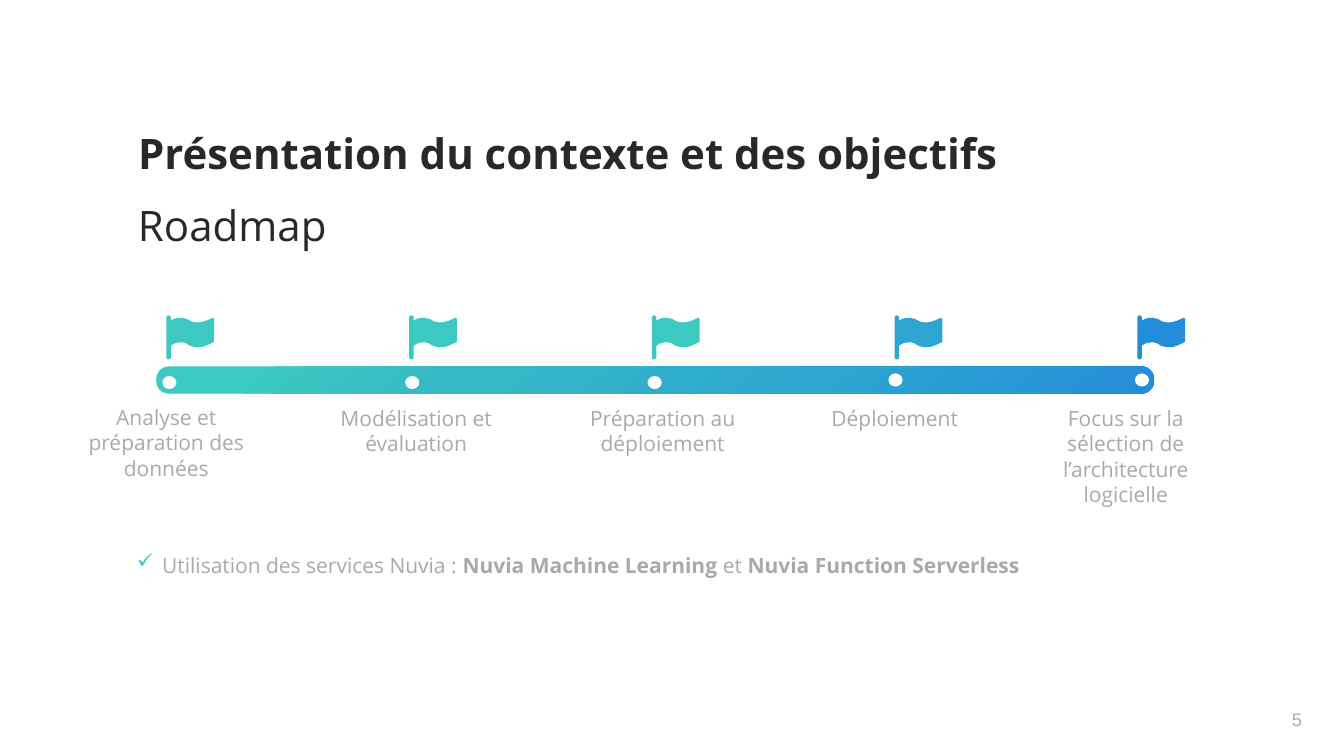
from lxml.etree import SubElement
from pptx import Presentation
from pptx.dml.color import RGBColor
from pptx.enum.shapes import MSO_SHAPE as SHAPE
from pptx.enum.text import MSO_ANCHOR as ANCHOR, PP_ALIGN as ALIGN
from pptx.oxml import parse_xml
from pptx.oxml.ns import nsdecls, qn
from pptx.util import Inches, Pt

GREY, DARK, WHITE, TEAL, SKY, BLUE = "A8A9A8", "282927", "FFFFFF", "3CC9C1", "2DA5D0", "248DDA"


def rgb(color):
    return RGBColor.from_string(color)


def add_text(x, y, w, h, text, size=30, color=GREY, font="Open Sans", bold=False, align=ALIGN.LEFT):
    tf = s.shapes.add_textbox(Inches(x), Inches(y), Inches(w), Inches(h)).text_frame
    tf.word_wrap = True
    tf.margin_left = tf.margin_right = tf.margin_top = tf.margin_bottom = Inches(0.1)
    p = tf.paragraphs[0]
    p.text = text
    p.alignment = align
    p.font.size = Pt(size)
    p.font.name = font
    p.font.bold = bold
    p.font.color.rgb = rgb(color)
    return tf


prs = Presentation()
prs.slide_width, prs.slide_height = Inches(26.67), Inches(15)
s = prs.slides.add_slide(prs.slide_layouts[6])

tf = add_text(25.3, 13.95, 0.87, 0.64, "5", 26, font="Arial", align=ALIGN.CENTER)
tf.vertical_anchor = ANCHOR.MIDDLE
add_text(2.64, 2.43, 21.99, 1.21, "Présentation du contexte et des objectifs", 60, DARK, bold=True)
add_text(2.64, 3.86, 10.74, 1.21, "Roadmap", 60, DARK)

tf = add_text(2.62, 10.86, 18.19, 0.71, "")
p = tf.paragraphs[0]
for text, bold in [("Utilisation des services Nuvia : ", False), ("Nuvia Machine Learning ", True),
                   ("et ", False), ("Nuvia Function Serverless", True)]:
    r = p.add_run()
    r.text = text
    r.font.bold = bold
pPr = p._p.get_or_add_pPr()
pPr.set("marL", str(Inches(0.5)))
pPr.set("indent", str(-Inches(0.5)))
bullet = parse_xml(f'<a:buClr {nsdecls("a")}><a:srgbClr val="{TEAL}"/></a:buClr>')
pPr.insert(0, bullet)
char = parse_xml(f'<a:buChar {nsdecls("a")} char="✓"/>')
bullet.addnext(char)

for y, h in [(7.37, 0.44), (7.27, 0.54)]:
    bar = s.shapes.add_shape(SHAPE.ROUNDED_RECTANGLE, Inches(3.1), Inches(y), Inches(19.8), Inches(h))
    bar.adjustments[0] = 0.471
    bar.shadow.inherit = False
    bar.line.fill.background()
    bar.fill.solid()
    bar.fill.fore_color.rgb = rgb("F7F8F7")
bar.fill.gradient()
bar.fill.gradient_angle = 309
stops = bar._element.spPr.find(qn("a:gradFill")).find(qn("a:gsLst"))
for stop in list(stops):
    stops.remove(stop)
for pos, color in [(9, TEAL), (30, "37BAC5"), (66, SKY), (100, BLUE)]:
    stop = SubElement(stops, qn("a:gs"), pos=str(pos * 1000))
    SubElement(stop, qn("a:srgbClr"), val=color)

FLAG = [(0.94, 0.05), (0.91, 0.05), (0.8, 0.1), (0.7, 0.13), (0.6, 0.14), (0.5, 0.12), (0.41, 0.07),
        (0.32, 0.05), (0.21, 0.05), (0.15, 0.07), (0.09, 0.1), (0.09, 0.03), (0.06, 0), (0.03, 0),
        (0, 0.03), (0, 0.84), (0.03, 0.87), (0.06, 0.87), (0.09, 0.84), (0.09, 0.6), (0.15, 0.56),
        (0.22, 0.54), (0.31, 0.53), (0.39, 0.55), (0.47, 0.6), (0.54, 0.62), (0.62, 0.63),
        (0.73, 0.62), (0.83, 0.58), (0.94, 0.53), (0.95, 0.51), (0.95, 0.08)]
milestones = [
    (TEAL, 3.22, 7.46, 1.48, 7.93, 3.64, 1.21, "Analyse et préparation des données"),
    (TEAL, 8.04, 7.46, 6.31, 7.94, 3.9, 1.55, "Modélisation et évaluation"),
    (TEAL, 12.85, 7.46, 11.39, 7.94, 3.52, 1.55, "Préparation au déploiement"),
    (SKY, 17.63, 7.41, 16.08, 7.95, 3.35, 0.71, "Déploiement"),
    (BLUE, 22.52, 7.41, 20.28, 7.95, 4.12, 1.55, "Focus sur la sélection de l’architecture logicielle"),
]
for i, (color, dot_x, dot_y, x, y, w, h, label) in enumerate(milestones):
    left, top = 3.3 + i * 4.817, 6.26
    points = [(Inches(left + dx), Inches(top + dy)) for dx, dy in FLAG]
    builder = s.shapes.build_freeform(*points[0])
    builder.add_line_segments(points[1:], close=True)
    flag = builder.convert_to_shape()
    dots = [(dot_x, dot_y, WHITE)]
    if color != TEAL:
        dots.insert(0, (left - 0.08, 7.46, color))
    ovals = []
    for ox, oy, fill in dots:
        oval = s.shapes.add_shape(SHAPE.OVAL, Inches(ox), Inches(oy), Inches(0.28), Inches(0.26))
        ovals.append((oval, fill))
    for sp, fill in [(flag, color)] + ovals:
        sp.shadow.inherit = False
        sp.line.fill.background()
        sp.fill.solid()
        sp.fill.fore_color.rgb = rgb(fill)
    add_text(x, y, w, h, label, align=ALIGN.CENTER)

prs.save("out.pptx")
